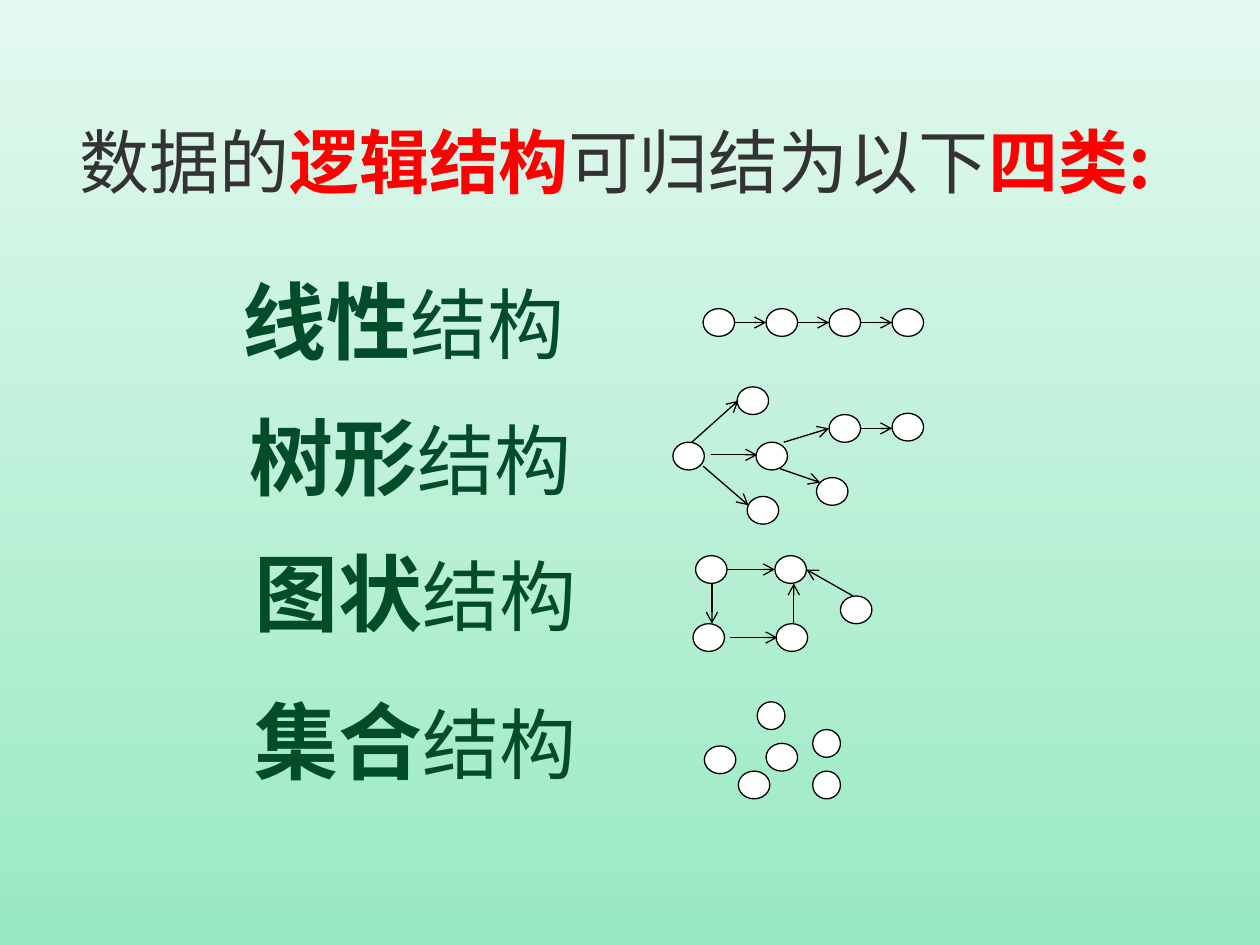
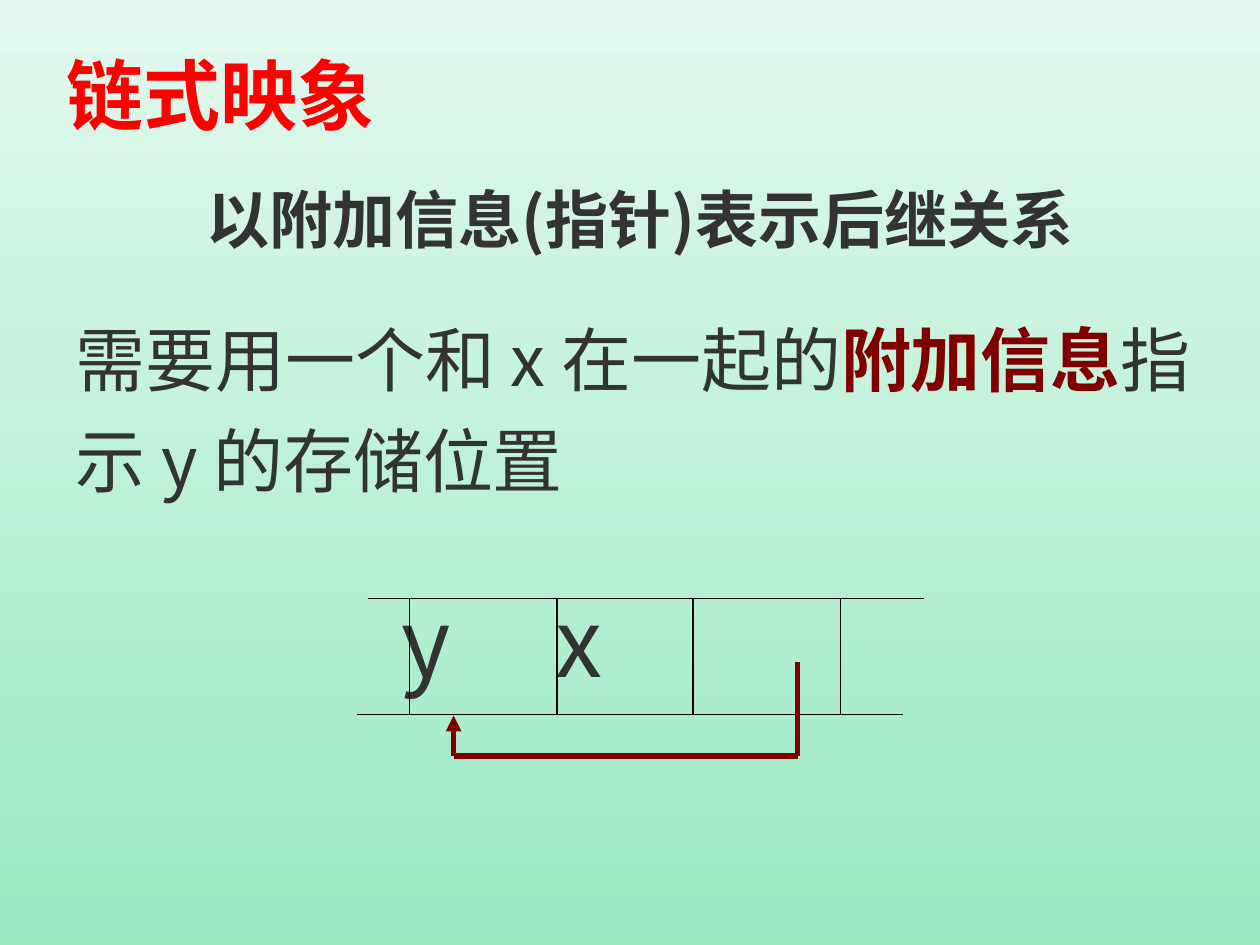
import pptx
import pptx.dml.color
import pptx.enum.shapes
import pptx.enum.text
import pptx.oxml
import pptx.oxml.ns
import pptx.util
import lxml.etree

FONT = "Noto Sans CJK SC"
GRADIENT = ("E3F9EF", "99E9C3")
INK, RED, GREEN, MAROON = "333333", "FF0000", "004C2B", "800000"
BLACK, WHITE = "000000", "FFFFFF"
NODE = (0.25, 0.22)
SMALL_NODE = (0.22, 0.22)
TITLE_ONLY, TITLE_AND_BODY = 5, 1

Inches = pptx.util.Inches
Pt = pptx.util.Pt


def color(hex_text):
    """Turn a hex string into a colour."""
    return pptx.dml.color.RGBColor.from_string(hex_text)


def add_xml(parent, tag, **attributes):
    """Append a drawing element to a parent element."""
    return lxml.etree.SubElement(parent, pptx.oxml.ns.qn(tag), attributes)


def paint_background(master):
    """Give every slide the vertical green gradient."""
    fill = master.background.fill
    fill.gradient()
    fill.gradient_angle = 270
    for stop, hex_text in zip(fill.gradient_stops, GRADIENT):
        stop.color.rgb = color(hex_text)


def write(shape, box, runs, line_spacing=None, tab=None):
    """Place a text shape and fill it with (text, size, colour, bold) runs."""
    shape.left, shape.top, shape.width, shape.height = map(Inches, box)
    frame = shape.text_frame
    frame.word_wrap = True
    frame.auto_size = pptx.enum.text.MSO_AUTO_SIZE.NONE
    frame.vertical_anchor = pptx.enum.text.MSO_ANCHOR.TOP
    paragraph = frame.paragraphs[0]
    paragraph.alignment = pptx.enum.text.PP_ALIGN.LEFT
    paragraph.space_before = Pt(0)
    if line_spacing:
        paragraph.line_spacing = line_spacing
    if shape.is_placeholder:
        properties = paragraph._p.get_or_add_pPr()
        properties.set("marL", "0")
        properties.set("indent", "0")
        add_xml(properties, "a:buNone")
    if tab:
        tabs = add_xml(paragraph._p.get_or_add_pPr(), "a:tabLst")
        add_xml(tabs, "a:tab", pos=str(Inches(tab)), algn="l")
    for text, size, hex_text, bold in runs:
        run = paragraph.add_run()
        run.text = text
        run.font.size = Pt(size)
        run.font.bold = bold
        run.font.color.rgb = color(hex_text)
        run.font.name = FONT
        add_xml(run._r.get_or_add_rPr(), "a:ea", typeface=FONT)


def add_text(slide, box, runs, **options):
    """Add a text box with formatted runs."""
    write(slide.shapes.add_textbox(0, 0, 0, 0), box, runs, **options)


def add_line(shapes, start, end, hex_text=BLACK, width=0.75, arrow=None):
    """Draw a straight line, with an arrowhead at its end if one is named."""
    line = shapes.add_connector(
        pptx.enum.shapes.MSO_CONNECTOR.STRAIGHT, *map(Inches, (*start, *end)))
    line.line.color.rgb = color(hex_text)
    line.line.width = Pt(width)
    if arrow:
        add_xml(line.line._get_or_add_ln(), "a:tailEnd", type=arrow)
    add_xml(line._element.spPr, "a:effectLst")


def add_node(shapes, left, top, size):
    """Draw one white node."""
    node = shapes.add_shape(
        pptx.enum.shapes.MSO_SHAPE.OVAL, *map(Inches, (left, top, *size)))
    node.shadow.inherit = False
    node.fill.solid()
    node.fill.fore_color.rgb = color(WHITE)
    node.line.color.rgb = color(BLACK)
    node.line.width = Pt(0.75)


def add_graph(slide, left, top, nodes, arrows=(), small_nodes=()):
    """Draw a group of nodes and arrows relative to its top left corner."""
    shapes = slide.shapes.add_group_shape().shapes
    for size, places in ((NODE, nodes), (SMALL_NODE, small_nodes)):
        for x, y in places:
            add_node(shapes, left + x, top + y, size)
    for x1, y1, x2, y2 in arrows:
        add_line(shapes, (left + x1, top + y1), (left + x2, top + y2), arrow="arrow")


def add_structure_labels(slide):
    """Name the four kinds of structure."""
    labels = [("线性", 1.83, 2.09), ("树形", 1.88, 3.17),
              ("图状", 1.92, 4.25), ("集合", 1.92, 5.42)]
    for kind, left, top in labels:
        add_text(slide, (left, top, 2.9, 0.9),
                 [(kind, 48, GREEN, True), ("结构", 44, GREEN, False)])


def add_structure_graphs(slide):
    """Sketch a list, a tree, a graph and a set."""
    step = 0.5
    add_graph(slide, 5.58, 2.45,
              nodes=[(index * step, 0) for index in range(4)],
              arrows=[(index * step + NODE[0], 0.11, (index + 1) * step, 0.11)
                      for index in range(3)])
    add_graph(slide, 5.34, 3.07,
              nodes=[(0, 0.44), (0.51, 0), (0.66, 0.44), (0.59, 0.87),
                     (1.24, 0.22), (1.14, 0.72), (1.74, 0.21)],
              arrows=[(0.3, 0.54, 0.67, 0.54), (0.15, 0.44, 0.52, 0.11),
                      (0.24, 0.63, 0.6, 0.94), (0.88, 0.44, 1.24, 0.33),
                      (0.85, 0.65, 1.17, 0.76), (1.49, 0.33, 1.74, 0.33)])
    add_graph(slide, 5.5, 4.41,
              nodes=[(0, 0.54), (0.02, 0), (0.66, 0.54), (0.65, 0), (1.17, 0.32)],
              arrows=[(0.29, 0.65, 0.67, 0.65), (0.27, 0.11, 0.65, 0.11),
                      (0.15, 0.22, 0.15, 0.54), (0.8, 0.54, 0.8, 0.22),
                      (1.27, 0.32, 0.9, 0.11)])
    add_graph(slide, 5.59, 5.57,
              nodes=[(0.49, 0.33), (0.27, 0.55), (0, 0.35)],
              small_nodes=[(0.86, 0.55), (0.86, 0.22), (0.42, 0)])


def add_memory_strip(slide, left, top):
    """Draw the storage cells of y and x with the pointer back to y."""
    add_text(slide, (left + 0.26, top - 0.17, 3.36, 1), [("y\tx", 54, INK, False)],
             tab=1.22)
    bottom = top + 0.92
    add_line(slide.shapes, (left + 0.09, top), (left + 4.5, top))
    add_line(slide.shapes, (left, bottom), (left + 4.34, bottom))
    for x in (0.42, 1.59, 2.67, 3.84):
        add_line(slide.shapes, (left + x, top), (left + x, bottom))
    source, target, turn = left + 3.5, left + 0.77, top + 1.25
    corners = [(source, top + 0.5), (source, turn), (target, turn), (target, bottom + 0.01)]
    for start, end, arrow in zip(corners, corners[1:], (None, None, "triangle")):
        add_line(slide.shapes, start, end, MAROON, 3, arrow)


def build_structures_slide(presentation):
    """Build the slide on the four logical structures."""
    slide = presentation.slides.add_slide(presentation.slide_layouts[TITLE_ONLY])
    write(slide.shapes.title, (0.53, 0.89, 9.1, 0.77),
          [("数据的", 40, INK, False), ("逻辑结构", 40, RED, True),
           ("可归结为以下", 40, INK, False), ("四类:", 40, RED, True)])
    add_structure_labels(slide)
    add_structure_graphs(slide)


def build_linked_slide(presentation):
    """Build the slide on linked storage."""
    slide = presentation.slides.add_slide(presentation.slide_layouts[TITLE_AND_BODY])
    write(slide.shapes.title, (0.43, 0.33, 2.8, 0.84), [("链式映象", 44, RED, True)])
    add_text(slide, (1.54, 1.38, 7.7, 0.7),
             [("以附加信息(指针)表示后继关系", 36, INK, True)])
    write(slide.placeholders[1], (0.5, 2.33, 9.08, 1.7),
          [("需要用一个和 x 在一起的", 40, INK, False), ("附加信息", 40, MAROON, True),
           ("指示 y 的存储位置", 40, INK, False)], line_spacing=1.2)
    add_memory_strip(slide, 2.83, 4.75)


def main():
    """Build and save the presentation."""
    presentation = pptx.Presentation()
    presentation.slide_width = Inches(10)
    presentation.slide_height = Inches(7.5)
    paint_background(presentation.slide_master)
    build_structures_slide(presentation)
    build_linked_slide(presentation)
    presentation.save("out.pptx")


if __name__ == "__main__":
    main()
